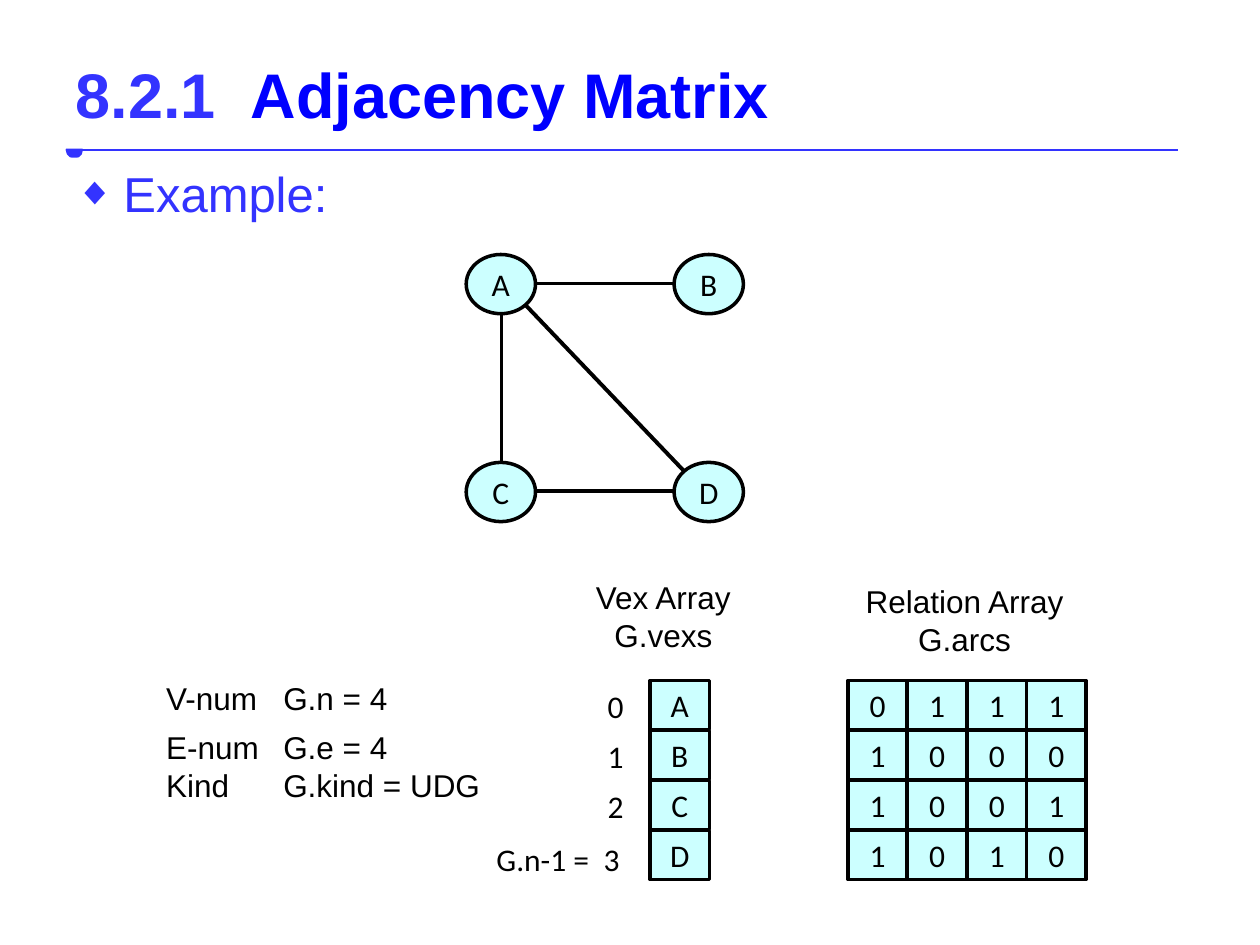
from lxml.etree import SubElement
from pptx import Presentation
from pptx.dml.color import RGBColor
from pptx.enum.shapes import MSO_CONNECTOR, MSO_SHAPE
from pptx.enum.text import MSO_ANCHOR, PP_ALIGN
from pptx.oxml.ns import qn
from pptx.util import Inches, Pt

BLUE, BLACK, WHITE, CYAN = "3333FF", "000000", "FFFFFF", "CCFFFF"
LEFT, MID = PP_ALIGN.LEFT, PP_ALIGN.CENTER
CELL_W, CELL_H, GRID_TOP = 0.47, 0.39, 5.4
STEP_X, STEP_Y = 0.473, 0.397
NODE_W, NODE_H = 0.55, 0.47
NODES = {"A": (3.7, 2.02), "B": (5.35, 2.02), "C": (3.7, 3.67), "D": (5.35, 3.67)}
EDGES = [
    (4.25, 2.25, 5.35, 2.25),
    (3.98, 2.49, 3.98, 3.67),
    (4.17, 2.42, 5.43, 3.74),
    (4.25, 3.9, 5.35, 3.9),
]
ARCS = ["0111", "1000", "1001", "1010"]


def color(code):
    return RGBColor.from_string(code)


def paint(shape, fill, line=None):
    shape.fill.solid()
    shape.fill.fore_color.rgb = color(fill)
    if line:
        shape.line.color.rgb = color(line)
        shape.line.width = Pt(2)


def place(shape, box):
    for name, size in zip(("left", "top", "width", "height"), box):
        setattr(shape, name, Inches(size))


def add_run(para, text, size=18, face="Arial", hue=BLACK, bold=False):
    run = para.add_run()
    run.text = text
    for name, value in {"size": Pt(size), "name": face, "bold": bold}.items():
        setattr(run.font, name, value)
    run.font.color.rgb = color(hue)


def add_tab(para, pos):
    tabs = SubElement(para._p.get_or_add_pPr(), qn("a:tabLst"))
    SubElement(tabs, qn("a:tab"), pos=str(Inches(pos)), algn="l")


def add_bullet(para, char, hue, percent):
    props = para._p.get_or_add_pPr()
    props.set("marL", str(Inches(0.38)))
    props.set("indent", str(Inches(-0.38)))
    tint = SubElement(props, qn("a:buClr"))
    SubElement(tint, qn("a:srgbClr"), val=hue)
    SubElement(props, qn("a:buSzPct"), val=str(percent * 1000))
    SubElement(props, qn("a:buFont"), typeface="Arial")
    SubElement(props, qn("a:buChar"), char=char)


def write(shape, lines, face, align=MID, tab=None):
    frame = shape.text_frame
    frame.word_wrap = True
    frame.vertical_anchor = MSO_ANCHOR.MIDDLE
    for i, line in enumerate(lines):
        para = frame.add_paragraph() if i else frame.paragraphs[0]
        para.alignment = align
        if tab:
            add_tab(para, tab)
        add_run(para, line, face=face)
    return frame


def add_box(slide, box, lines, kind=MSO_SHAPE.RECTANGLE, fill=CYAN, line=BLACK,
            face="Calibri", **style):
    shape = slide.shapes.add_shape(kind, *map(Inches, box))
    shape.shadow.inherit = False
    paint(shape, fill, line)
    return write(shape, lines, face, **style)


def add_note(slide, box, lines, **style):
    return add_box(slide, box, lines, fill=WHITE, line=WHITE, face="Arial", **style)


def add_label(slide, box, text, **style):
    shape = slide.shapes.add_textbox(*map(Inches, box))
    frame = write(shape, [text], "Calibri", **style)
    for side in ("left", "right", "top", "bottom"):
        setattr(frame, f"margin_{side}", 0)


def add_line(slide, ends, hue=BLACK, width=2.25):
    line = slide.shapes.add_connector(MSO_CONNECTOR.STRAIGHT, *map(Inches, ends))
    line.line.color.rgb = color(hue)
    line.line.width = Pt(width)
    SubElement(line._element.spPr, qn("a:effectLst"))
    return line


def add_rule(slide):
    """Draw the header rule behind the title, which hides half of its dot."""
    rule = add_line(slide, (0.59, 1.19, 9.35, 1.19), BLUE, 1.5)
    SubElement(rule.line._get_or_add_ln(), qn("a:headEnd"),
               type="oval", w="lg", len="lg")
    slide.shapes._spTree.insert(2, rule._element)


def add_heads(slide):
    title, body = slide.placeholders
    place(title, (0.5, 0.3, 9, 0.88))
    place(body, (0.5, 1.25, 9, 6.11))
    for shape in (title, body):
        paint(shape, WHITE)
    title.text_frame.vertical_anchor = MSO_ANCHOR.MIDDLE
    para = title.text_frame.paragraphs[0]
    para.alignment = LEFT
    add_tab(para, 1.39)
    add_run(para, "8.2.1\t", 36, hue=BLUE, bold=True)
    add_run(para, "Adjacency Matrix", 36, hue="0000FF", bold=True)
    para = body.text_frame.paragraphs[0]
    para.space_before = Pt(0)
    add_bullet(para, "◆", BLUE, 80)
    add_run(para, "Example:", 28, hue=BLUE)


def add_graph(slide):
    for name, spot in NODES.items():
        add_box(slide, (*spot, NODE_W, NODE_H), [name], MSO_SHAPE.OVAL)
    for ends in EDGES:
        add_line(slide, ends)


def add_grid(slide, left, rows):
    for i, row in enumerate(rows):
        for j, text in enumerate(row):
            spot = (left + j * STEP_X, GRID_TOP + i * STEP_Y)
            add_box(slide, (*spot, CELL_W, CELL_H), [text])


def main():
    deck = Presentation()
    deck.slide_width, deck.slide_height = Inches(10), Inches(7.5)
    slide = deck.slides.add_slide(deck.slide_layouts[1])
    add_heads(slide)
    add_rule(slide)
    add_graph(slide)
    add_grid(slide, 6.73, ARCS)
    add_note(slide, (4.61, 4.53, 1.31, 0.71), ["Vex Array", "G.vexs"])
    add_grid(slide, 5.16, NODES)
    for i in range(3):
        add_label(slide, (4.69, 5.48 + i * STEP_Y, 0.39, 0.24), str(i))
    add_label(slide, (3.94, 6.66, 1.14, 0.31), "G.n-1 =\t3", align=LEFT, tab=0.85)
    add_note(slide, (6.71, 4.59, 1.89, 0.66), ["Relation Array", "G.arcs"])
    facts = ["V-num\tG.n = 4", "E-num\tG.e = 4", "Kind\tG.kind = UDG"]
    frame = add_note(slide, (1.22, 5.17, 2.84, 1.34), facts, align=LEFT, tab=0.93)
    for para in frame.paragraphs[:2]:
        para.line_spacing = 1.3
    deck.save("out.pptx")


if __name__ == "__main__":
    main()
